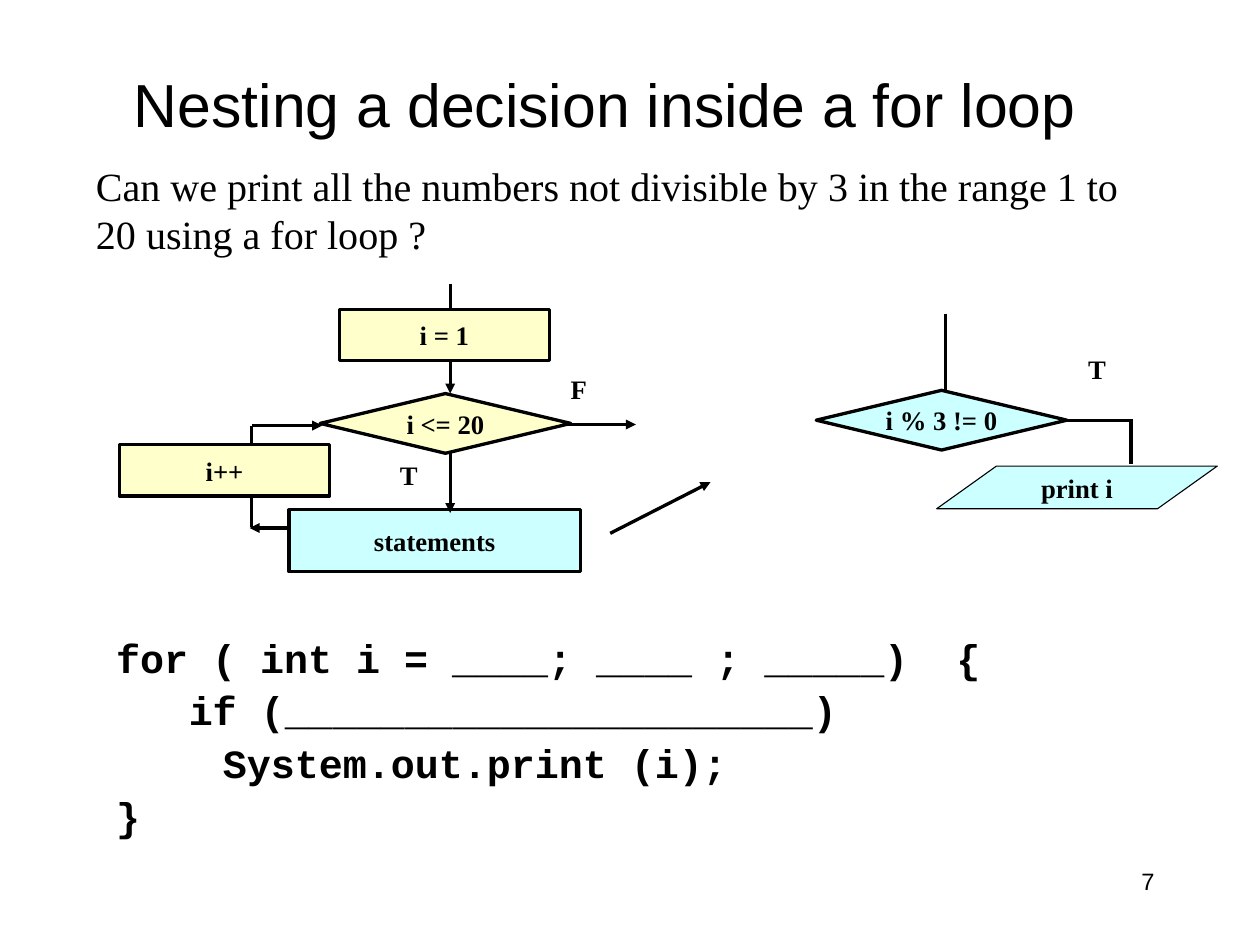
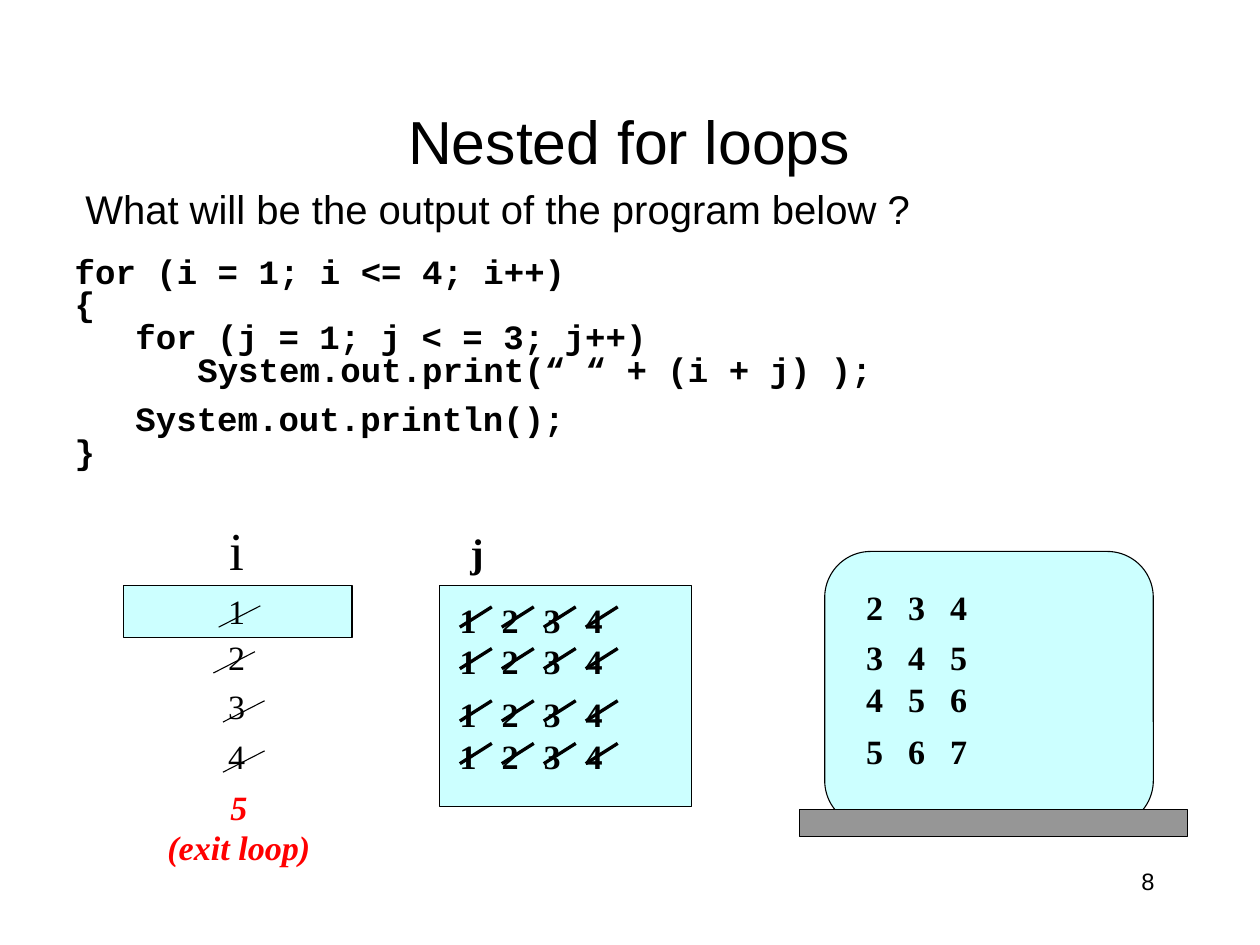
from dataclasses import dataclass

from lxml import etree
from pptx import Presentation
from pptx.dml.color import RGBColor
from pptx.enum.shapes import MSO_CONNECTOR, MSO_SHAPE
from pptx.enum.text import MSO_ANCHOR, PP_ALIGN
from pptx.oxml.ns import qn
from pptx.shapes.autoshape import Shape
from pptx.slide import Slide
from pptx.text.text import TextFrame
from pptx.util import Inches, Pt

STRAIGHT = MSO_CONNECTOR.STRAIGHT
RECTANGLE = MSO_SHAPE.RECTANGLE
ROUNDED = MSO_SHAPE.ROUNDED_RECTANGLE
DIAMOND = MSO_SHAPE.DIAMOND
PARALLELOGRAM = MSO_SHAPE.PARALLELOGRAM
TOP, MIDDLE = MSO_ANCHOR.TOP, MSO_ANCHOR.MIDDLE
LEFT, CENTER, RIGHT = PP_ALIGN.LEFT, PP_ALIGN.CENTER, PP_ALIGN.RIGHT


@dataclass(frozen=True)
class Theme:
    """Colours, fonts, type sizes and line widths of the deck."""
    ink: str = "000000"
    yellow: str = "FFFFCC"
    cyan: str = "CCFFFF"
    gray: str = "969696"
    red: str = "FF0000"
    sans: str = "Arial"
    serif: str = "Times New Roman"
    mono: str = "Courier New"
    title: int = 41
    heading: int = 36
    body: int = 27
    trace: int = 23
    label: int = 18
    footer: int = 16
    thick: float = 2.25
    medium: float = 2
    thin: float = 0.75


THEME = Theme()
WIDE_INSETS = (0.11, 0.06)
NARROW_INSETS = (0.1, 0.05)


@dataclass(frozen=True)
class Area:
    """A rectangle on the page, in inches."""
    left: float
    top: float
    width: float
    height: float


@dataclass(frozen=True)
class CodeLine:
    """A line of program text with its indent in inches and space before in points."""
    text: str
    indent: float = 0
    before: float = 0


@dataclass(frozen=True)
class Node:
    """A flowchart or panel outline with optional centred text."""
    area: Area
    fill: str
    text: str = ""
    kind: MSO_SHAPE = RECTANGLE
    line: float = THEME.thick
    adjust: float | None = None


@dataclass(frozen=True)
class Link:
    """A straight line between two points."""
    x1: float
    y1: float
    x2: float
    y2: float
    arrow: bool = False
    width: float = THEME.thick


@dataclass(frozen=True)
class Count:
    """A value of i with its top and the left end of its strike."""
    text: str
    top: float
    strike: float


def fill_text(frame: TextFrame, lines: list[CodeLine], *, size: float, font: str = THEME.serif,
              color: str = THEME.ink, bold: bool = False, italic: bool = False,
              align: PP_ALIGN = LEFT, spacing: float = 1.0) -> None:
    """Write one formatted paragraph per line."""
    for index, line in enumerate(lines):
        para = frame.paragraphs[0] if index == 0 else frame.add_paragraph()
        para.alignment = align
        para.line_spacing = spacing
        para.space_before = Pt(line.before)
        if line.indent:
            para._p.get_or_add_pPr().set("marL", str(Inches(line.indent)))
        span = para.add_run()
        span.text = line.text
        span.font.name = font
        span.font.size = Pt(size)
        span.font.bold = bold
        span.font.italic = italic
        span.font.color.rgb = RGBColor.from_string(color)


def add_text(page: Slide, area: Area, text: str | list[CodeLine], *,
             insets: tuple[float, float] = NARROW_INSETS, anchor: MSO_ANCHOR = TOP,
             **style) -> Shape:
    """Add a wrapping text box; style goes to fill_text."""
    box = page.shapes.add_textbox(Inches(area.left), Inches(area.top),
                                  Inches(area.width), Inches(area.height))
    frame = box.text_frame
    frame.word_wrap = True
    frame.vertical_anchor = anchor
    frame.margin_left = frame.margin_right = Inches(insets[0])
    frame.margin_top = frame.margin_bottom = Inches(insets[1])
    fill_text(frame, [CodeLine(text)] if isinstance(text, str) else text, **style)
    return box


def add_node(page: Slide, node: Node) -> Shape:
    """Add a filled, outlined preset shape."""
    area = node.area
    box = page.shapes.add_shape(node.kind, Inches(area.left), Inches(area.top),
                                Inches(area.width), Inches(area.height))
    box.shadow.inherit = False
    box.fill.solid()
    box.fill.fore_color.rgb = RGBColor.from_string(node.fill)
    box.line.color.rgb = RGBColor.from_string(THEME.ink)
    box.line.width = Pt(node.line)
    if node.adjust is not None:
        box.adjustments[0] = node.adjust
    if node.text:
        box.text_frame.word_wrap = False
        box.text_frame.vertical_anchor = MIDDLE
        fill_text(box.text_frame, [CodeLine(node.text)], size=THEME.label,
                  bold=True, align=CENTER)
    return box


def add_link(page: Slide, link: Link) -> None:
    """Add a straight line, with an arrowhead at its end if asked."""
    connector = page.shapes.add_connector(STRAIGHT, Inches(link.x1), Inches(link.y1),
                                          Inches(link.x2), Inches(link.y2))
    connector.line.color.rgb = RGBColor.from_string(THEME.ink)
    connector.line.width = Pt(link.width)
    properties = connector._element.spPr
    if link.arrow:
        etree.SubElement(properties.find(qn("a:ln")), qn("a:tailEnd"), type="triangle")
    etree.SubElement(properties, qn("a:effectLst"))


def add_page(deck: Presentation, title: str, title_area: Area, number: int) -> Slide:
    """Add a blank page with its title and page number."""
    page = deck.slides.add_slide(deck.slide_layouts[6])
    add_text(page, title_area, title, insets=WIDE_INSETS, anchor=MIDDLE,
             size=THEME.title, font=THEME.sans, align=CENTER)
    add_text(page, Area(8.42, 8.07, 2.51, 0.6), str(number), insets=WIDE_INSETS,
             size=THEME.footer, font=THEME.sans, align=RIGHT)
    return page


def add_code(page: Slide, area: Area, lines: list[CodeLine], size: float, spacing: float) -> None:
    """Add a program listing."""
    add_text(page, area, lines, insets=WIDE_INSETS, size=size, font=THEME.mono,
             bold=True, spacing=spacing)


def add_digits(page: Slide, left: float, top: float, digits: str, struck: bool = False) -> None:
    """Add a row of evenly spaced digits, struck through if asked."""
    pitch = 1.18 / 3
    for column, digit in enumerate(digits):
        x = left + column * pitch
        add_text(page, Area(x, top, 0.39, 0.49), digit, size=THEME.trace, bold=True)
        if struck:
            add_link(page, Link(x + 0.1, top + 0.31, x + 0.4, top + 0.12))


def build_decision_page(deck: Presentation) -> None:
    """Build the page on a decision inside a for loop."""
    page = add_page(deck, "Nesting a decision inside a for loop", Area(0.7, 0.52, 9.95, 0.89), 7)
    add_text(page, Area(0.79, 1.45, 10.14, 1.02),
             "Can we print all the numbers not divisible by 3 in the range 1 to 20 "
             "using a for loop ?", insets=WIDE_INSETS, size=THEME.body)
    add_code(page, Area(0.98, 5.83, 9.87, 2.11), [
        CodeLine("for ( int i = ____; ____ ; _____)  {"),
        CodeLine("if (______________________)", 0.68),
        CodeLine("System.out.print (i);", 1),
        CodeLine("}"),
    ], THEME.body, 1.1)

    loop_links = [
        Link(4.22, 2.66, 4.22, 3.69, arrow=True),
        Link(2.71, 4.95, 2.34, 4.95, arrow=True),
        Link(2.36, 4.94, 2.36, 3.99),
        Link(4.22, 4.25, 4.22, 4.81, arrow=True),
        Link(5.3, 3.98, 5.96, 3.98, arrow=True),
        Link(2.36, 3.99, 3.02, 3.99, arrow=True),
    ]
    decision_links = [
        Link(9.96, 3.94, 10.62, 3.94),
        Link(8.86, 2.94, 8.86, 3.66, width=THEME.medium),
        Link(10.6, 3.95, 10.6, 4.35),
    ]
    zoom_arrow = Link(5.72, 5, 6.66, 4.52, arrow=True)
    under_links = [
        Node(Area(3, 3.69, 2.35, 0.56), THEME.yellow, "i <= 20", DIAMOND),
        Node(Area(2.71, 4.78, 2.73, 0.58), THEME.cyan, "statements"),
        Node(Area(7.65, 3.66, 2.35, 0.56), THEME.cyan, "i % 3 != 0", DIAMOND),
    ]
    over_links = [
        Node(Area(3.18, 2.9, 1.97, 0.48), THEME.yellow, "i = 1"),
        Node(Area(1.12, 4.17, 1.97, 0.48), THEME.yellow, "i++"),
        Node(Area(8.78, 4.37, 2.63, 0.4), THEME.cyan, "print i", PARALLELOGRAM,
             THEME.thin, 1.4),
    ]
    for node in under_links:
        add_node(page, node)
    for link in [*loop_links, *decision_links, zoom_arrow]:
        add_link(page, link)
    for node in over_links:
        add_node(page, node)
    for text, left, top in [("T", 3.65, 4.25), ("F", 5.25, 3.45), ("T", 10.1, 3.26)]:
        add_text(page, Area(left, top, 0.6, 0.4), text, size=THEME.label, bold=True)


def build_nested_page(deck: Presentation) -> None:
    """Build the page that traces two nested for loops."""
    page = add_page(deck, "Nested for loops", Area(1.16, 0.92, 9.48, 0.79), 8)
    add_code(page, Area(0.59, 2.36, 10.34, 2.17), [
        CodeLine("for (i = 1; i <= 4; i++)"),
        CodeLine("{"),
        CodeLine("for (j = 1; j < = 3; j++)", 0.57),
        CodeLine("System.out.print(“ “ + (i + j) );", 1.15),
        CodeLine("System.out.println();", 0.57, 11.5),
        CodeLine("}"),
    ], THEME.trace, 0.8)
    add_text(page, Area(0.69, 1.67, 10.34, 0.59), "What will be the output of the program below ?",
             insets=WIDE_INSETS, size=THEME.body, font=THEME.sans)

    add_text(page, Area(2.05, 4.8, 0.59, 0.71), "i", size=THEME.heading)
    add_text(page, Area(4.31, 4.9, 0.59, 0.56), "j", size=THEME.body, bold=True)
    panels = [
        Node(Area(1.16, 5.49, 2.14, 0.49), THEME.cyan, line=THEME.thin),
        Node(Area(4.12, 5.49, 2.36, 2.07), THEME.cyan, line=THEME.thin),
        Node(Area(7.73, 5.17, 3.08, 2.58), THEME.cyan, kind=ROUNDED, line=THEME.thin,
             adjust=0.167),
        Node(Area(7.49, 7.59, 3.64, 0.25), THEME.gray, line=THEME.thin),
    ]
    for panel in panels:
        add_node(page, panel)

    for count in [Count("1", 5.49, 2.05), Count("2", 5.92, 2),
                  Count("3", 6.38, 2.09), Count("4", 6.85, 2.09)]:
        add_text(page, Area(2.04, count.top, 0.39, 0.49), count.text, size=THEME.trace)
        add_link(page, Link(count.strike, count.top + 0.39, count.strike + 0.39,
                            count.top + 0.19, width=THEME.thin))
    add_text(page, Area(1.16, 7.31, 2.16, 0.89), [CodeLine("5"), CodeLine("(exit loop)")],
             insets=WIDE_INSETS, size=THEME.trace, color=THEME.red, bold=True, italic=True,
             align=CENTER)

    for top in (5.57, 5.96, 6.45, 6.85):
        add_digits(page, 4.21, top, "1234", struck=True)
    for top, sums in [(5.45, "234"), (5.92, "345"), (6.31, "456"), (6.8, "567")]:
        add_digits(page, 8.02, top, sums)


def main() -> None:
    """Build and save the deck."""
    deck = Presentation()
    deck.slide_width, deck.slide_height = Inches(11.81), Inches(8.86)
    build_decision_page(deck)
    build_nested_page(deck)
    deck.save("out.pptx")


main()
